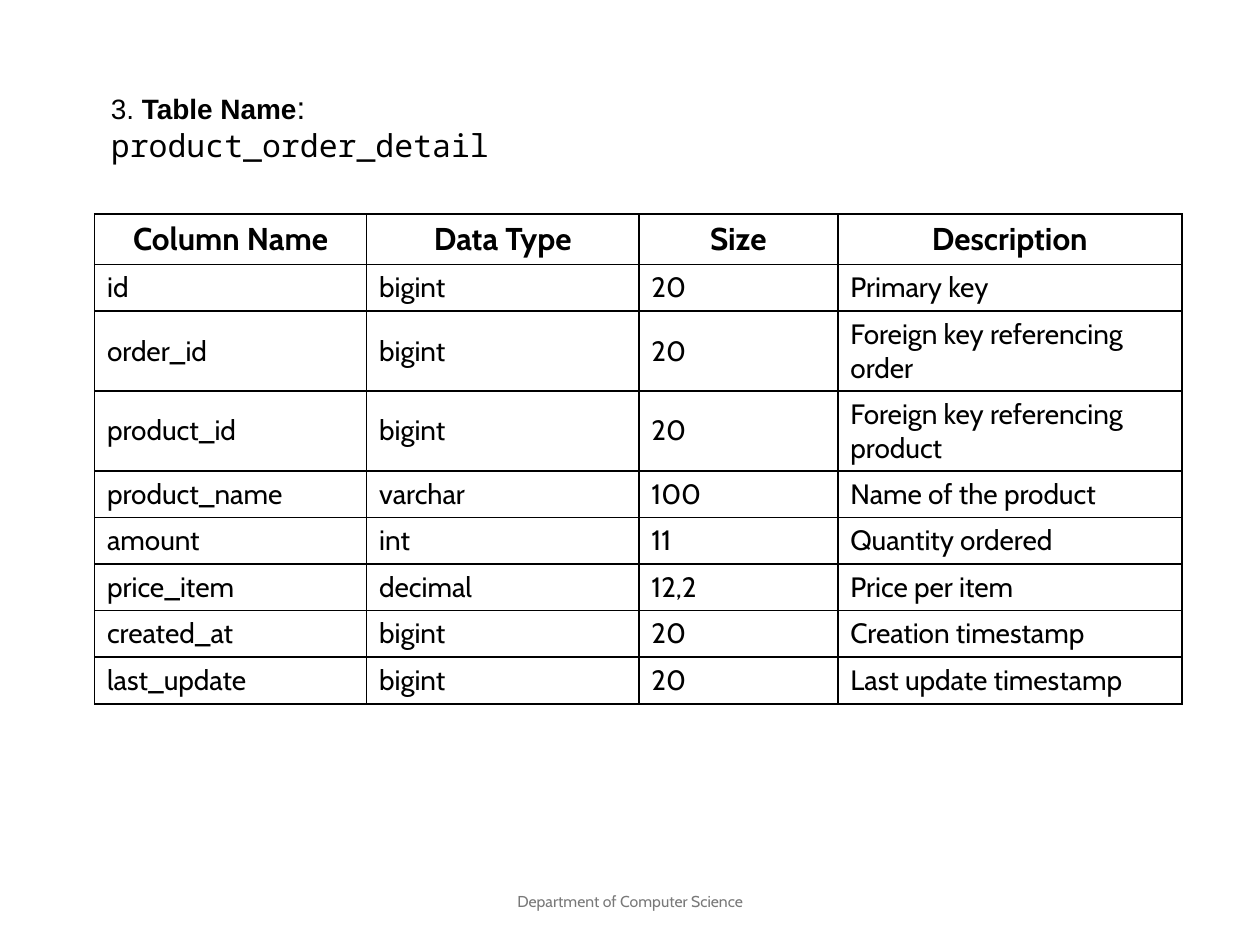
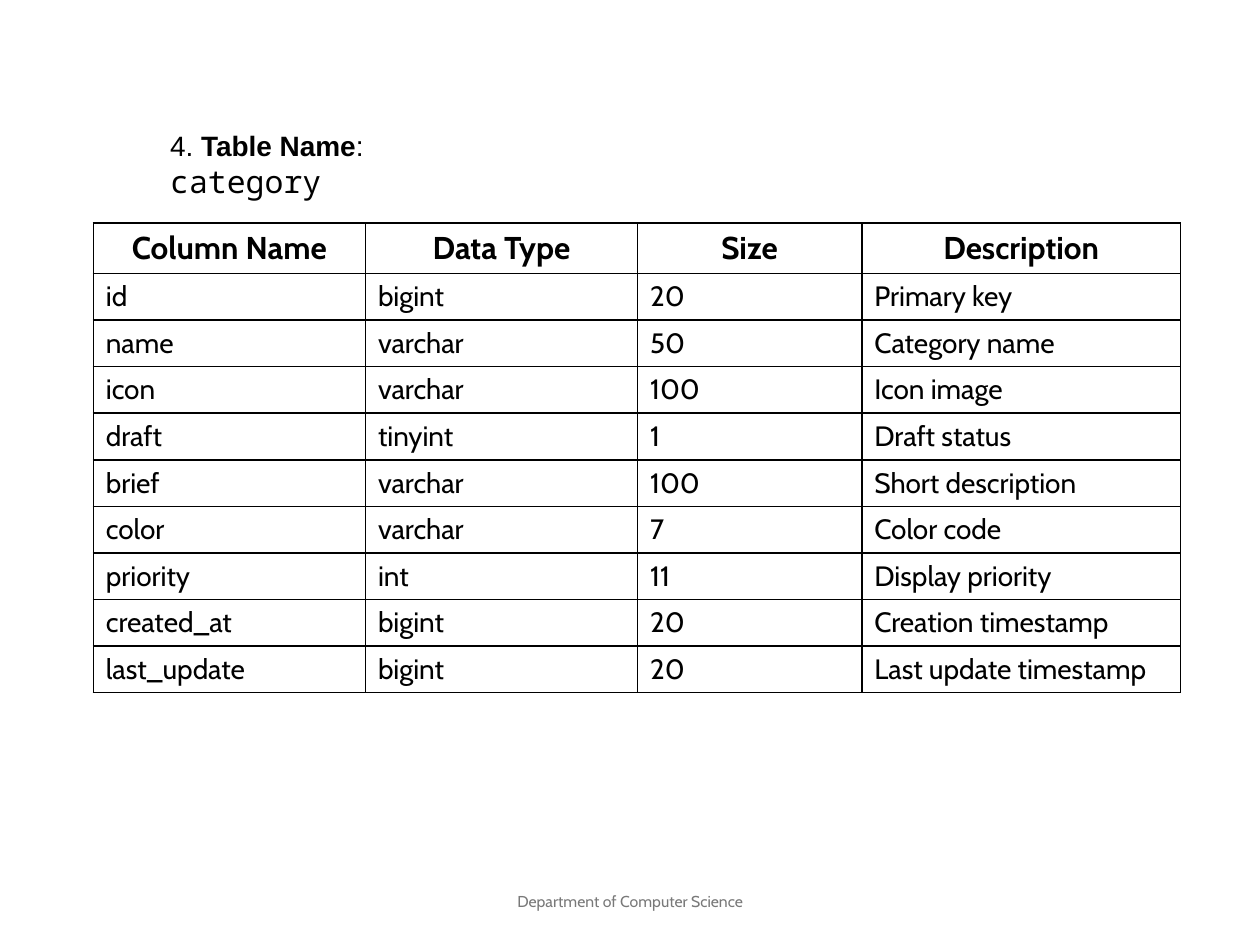
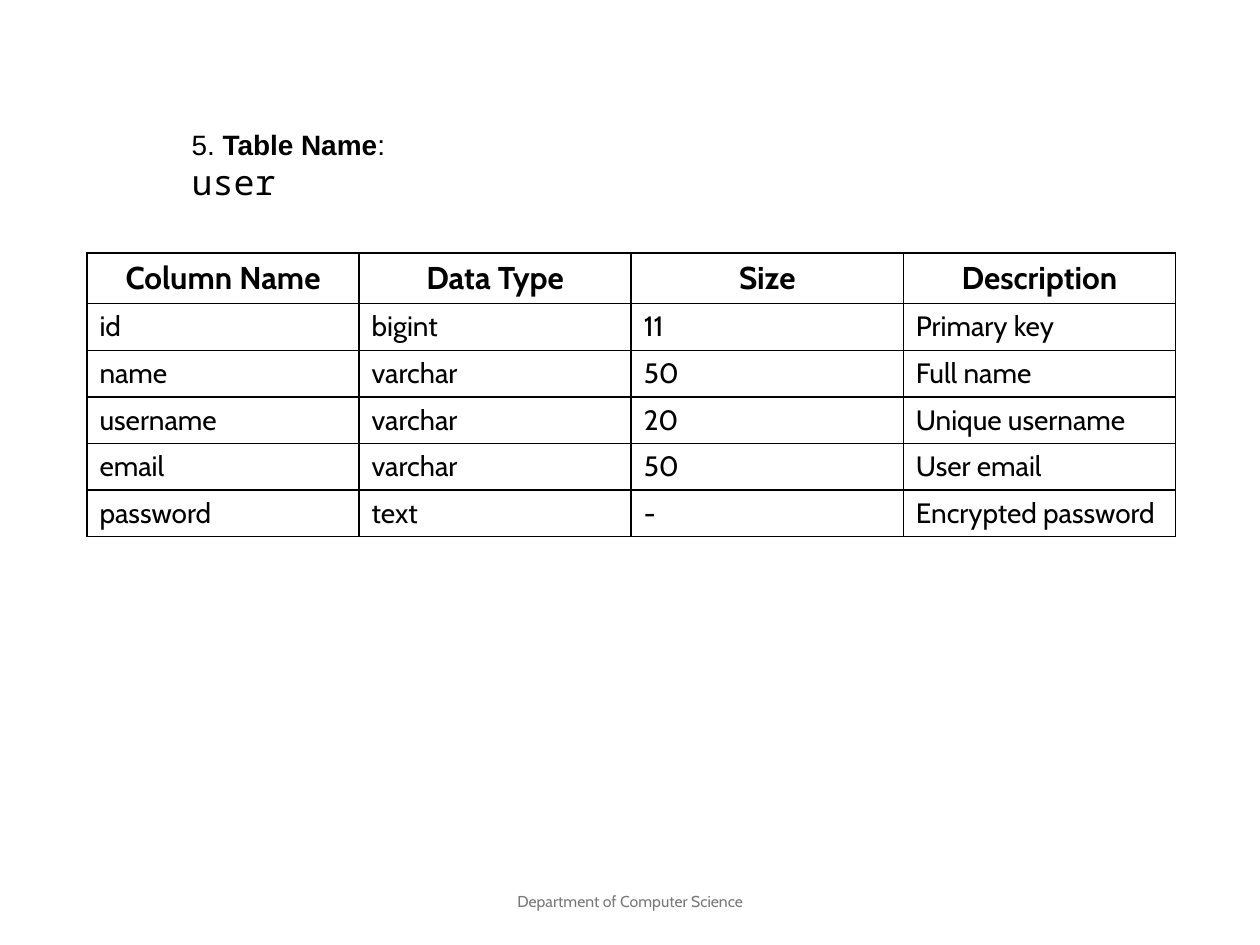
from pptx import Presentation
from pptx.dml.color import RGBColor
from pptx.enum.text import MSO_ANCHOR, MSO_AUTO_SIZE, PP_ALIGN
from pptx.oxml import parse_xml
from pptx.oxml.ns import nsdecls
from pptx.util import Inches, Pt

COLORS = {"ink": "000000", "footer": "797979"}
FONTS = {"body": "Cabin", "label": "Arial", "code": "Noto Sans Mono"}
FOOTER = "Department of Computer Science"
FOOTER_BOX = (3.31, 6.95, 3.38, 0.4)
HEADINGS = ("Column Name", "Data Type", "Size", "Description")
HEAD_H, ROW_H = 0.4, 0.37
TIMESTAMPS = [
    ("created_at", "bigint", "20", "Creation timestamp"),
    ("last_update", "bigint", "20", "Last update timestamp"),
]

SLIDES = [
    {
        "number": 3, "name": "product_order_detail",
        "title_box": (0.78, 0.8, 4.18, 0.4), "colon_size": 18, "name_size": 18,
        "table_at": (0.75, 1.7), "widths": (2.16, 2.16, 1.58, 2.73),
        "rows": [
            ("id", "bigint", "20", "Primary key"),
            ("order_id", "bigint", "20", "Foreign key referencing order"),
            ("product_id", "bigint", "20", "Foreign key referencing product"),
            ("product_name", "varchar", "100", "Name of the product"),
            ("amount", "int", "11", "Quantity ordered"),
            ("price_item", "decimal", "12,2", "Price per item"),
            *TIMESTAMPS,
        ],
    },
    {
        "number": 4, "name": "category",
        "title_box": (1.25, 1.1, 2.84, 0.4), "colon_size": 16, "name_size": 18,
        "table_at": (0.74, 1.77), "widths": (2.16, 2.16, 1.78, 2.53),
        "rows": [
            ("id", "bigint", "20", "Primary key"),
            ("name", "varchar", "50", "Category name"),
            ("icon", "varchar", "100", "Icon image"),
            ("draft", "tinyint", "1", "Draft status"),
            ("brief", "varchar", "100", "Short description"),
            ("color", "varchar", "7", "Color code"),
            ("priority", "int", "11", "Display priority"),
            *TIMESTAMPS,
        ],
    },
    {
        "number": 5, "name": "user",
        "title_box": (1.42, 1.09, 2.43, 0.44), "colon_size": 16, "name_size": 20,
        "table_at": (0.69, 2.01), "widths": (2.16,) * 4,
        "rows": [
            ("id", "bigint", "11", "Primary key"),
            ("name", "varchar", "50", "Full name"),
            ("username", "varchar", "20", "Unique username"),
            ("email", "varchar", "50", "User email"),
            ("password", "text", "-", "Encrypted password"),
        ],
    },
]


def set_font(font, name, size, color="ink", bold=False):
    """Set the face, size, colour and weight of a font."""
    font.name, font.size, font.bold = FONTS[name], Pt(size), bold
    font.color.rgb = RGBColor.from_string(COLORS[color])


def add_title(s, box, number, name, colon_size, name_size):
    """Write the numbered table name in the title placeholder."""
    sp = s.shapes.title
    sp.left, sp.top, sp.width, sp.height = map(Inches, box)
    tf = sp.text_frame
    tf.word_wrap, tf.auto_size = True, MSO_AUTO_SIZE.NONE
    tf.vertical_anchor = MSO_ANCHOR.MIDDLE
    p = tf.paragraphs[0]
    p.alignment = PP_ALIGN.LEFT
    for text, font, size, bold in (
        (f"{number}. ", "label", 16, False),
        ("Table Name", "label", 16, True),
        (": ", "label", colon_size, False),
        (name, "code", name_size, False),
    ):
        r = p.add_run()
        r.text = text
        set_font(r.font, font, size, bold=bold)


def add_footer(s, box):
    """Add the centred department footer."""
    tf = s.shapes.add_textbox(*map(Inches, box)).text_frame
    tf.word_wrap, tf.vertical_anchor = True, MSO_ANCHOR.MIDDLE
    p = tf.paragraphs[0]
    p.text, p.alignment = FOOTER, PP_ALIGN.CENTER
    set_font(p.font, "body", 9, "footer")


def set_borders(cell):
    """Draw a one-point line on all four sides of a cell."""
    tcPr = cell._tc.get_or_add_tcPr()
    for i, side in enumerate("LRTB"):
        tcPr.insert(i, parse_xml(
            f'<a:ln{side} {nsdecls("a")} w="{Pt(1)}"><a:solidFill>'
            f'<a:srgbClr val="{COLORS["ink"]}"/></a:solidFill></a:ln{side}>'))


def fill_cell(cell, text, is_head):
    """Write and format one table cell."""
    cell.fill.background()
    cell.vertical_anchor = MSO_ANCHOR.MIDDLE
    p = cell.text_frame.paragraphs[0]
    p.text = text
    p.alignment = PP_ALIGN.CENTER if is_head else PP_ALIGN.LEFT
    set_font(p.font, "body", 18 if is_head else 16, bold=is_head)
    set_borders(cell)


def add_schema_table(s, at, widths, rows):
    """Add the table that describes the columns of a database table."""
    height = HEAD_H + ROW_H * len(rows)
    table = s.shapes.add_table(len(rows) + 1, len(widths), *map(
        Inches, (*at, sum(widths), height))).table
    table.first_row = table.horz_banding = False
    for column, width in zip(table.columns, widths):
        column.width = Inches(width)
    for i, values in enumerate([HEADINGS, *rows]):
        table.rows[i].height = Inches(ROW_H if i else HEAD_H)
        for j, text in enumerate(values):
            fill_cell(table.cell(i, j), text, i == 0)


def add_schema_slide(prs, data):
    """Add a slide with a title, a schema table and the footer."""
    s = prs.slides.add_slide(prs.slide_layouts[5])
    add_footer(s, FOOTER_BOX)
    add_schema_table(s, data["table_at"], data["widths"], data["rows"])
    add_title(s, data["title_box"], data["number"], data["name"],
              data["colon_size"], data["name_size"])


def main():
    """Build and save the presentation."""
    prs = Presentation()
    prs.slide_width, prs.slide_height = Inches(10), Inches(7.5)
    for data in SLIDES:
        add_schema_slide(prs, data)
    prs.save("out.pptx")


if __name__ == "__main__":
    main()
